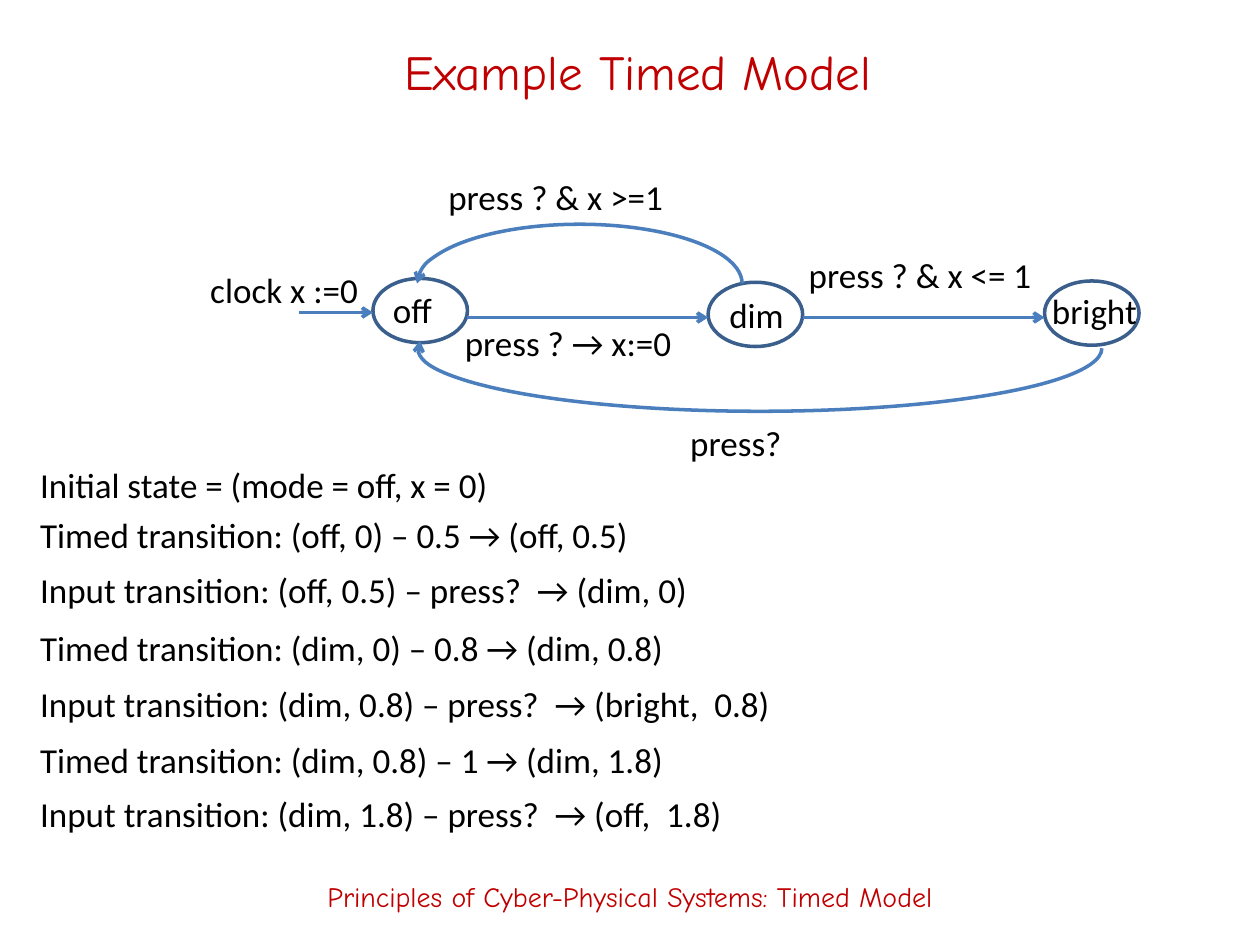
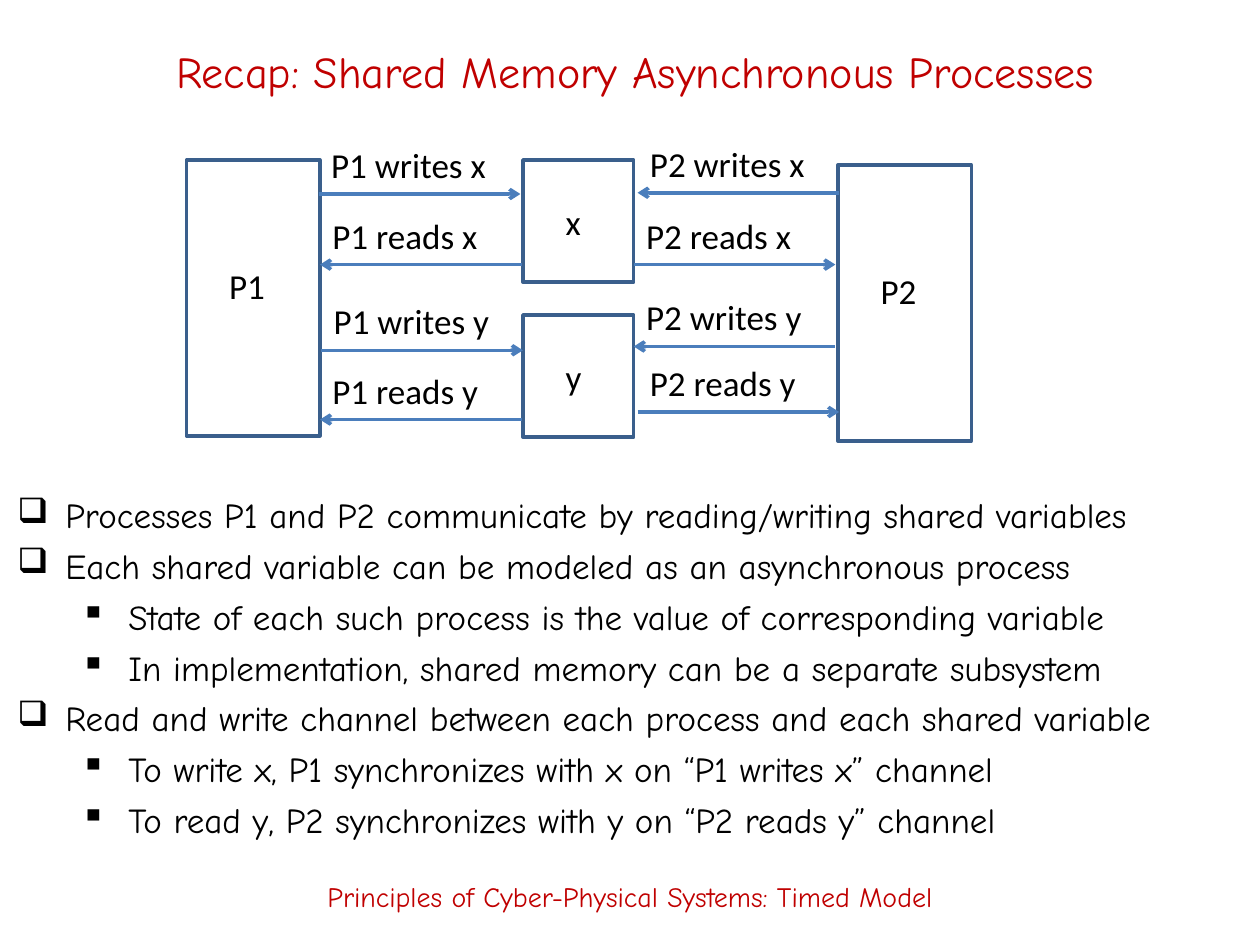
from dataclasses import dataclass

from lxml import etree
from pptx import Presentation
from pptx import util as u
from pptx.dml.color import RGBColor
from pptx.enum import shapes, text
from pptx.oxml import ns


@dataclass(frozen=True)
class Theme:
    """Colours, fonts and sizes shared by the slides."""
    accent: RGBColor = RGBColor(0xC0, 0x00, 0x00)
    ink: RGBColor = RGBColor(0x00, 0x00, 0x00)
    arrow: RGBColor = RGBColor(0x4B, 0x7E, 0xBC)
    outline: RGBColor = RGBColor(0x3A, 0x5F, 0x8C)
    display: str = "Comic Neue"
    label: str = "Calibri"
    title_size: float = 28
    long_title_size: float = 25.2
    body_size: float = 20
    footer_size: float = 16
    line_width: float = 2
    label_height: float = 0.44


THEME = Theme()
FOOTER = "Principles of Cyber-Physical Systems: Timed Model"


@dataclass
class Region:
    """A part of a slide whose contents are placed from its top left corner."""
    slide: object
    left: float
    top: float

    def place(self, x, y):
        """Turn a local point into slide lengths."""
        return u.Inches(self.left + x), u.Inches(self.top + y)

    def text_box(self, x, y, width, height):
        """Add an empty text box."""
        return self.slide.shapes.add_textbox(
            *self.place(x, y), u.Inches(width), u.Inches(height)).text_frame

    def label(self, words, x, y, width):
        """Add a one-line diagram label."""
        frame = self.text_box(x, y, width, THEME.label_height)
        frame.word_wrap = False
        frame.auto_size = text.MSO_AUTO_SIZE.SHAPE_TO_FIT_TEXT
        add_run(frame.paragraphs[0], words, THEME.label)

    def outline(self, kind, x, y, width, height, color=THEME.outline):
        """Add an unfilled preset shape."""
        drawn = self.slide.shapes.add_shape(
            kind, *self.place(x, y), u.Inches(width), u.Inches(height))
        drawn.shadow.inherit = False
        drawn.fill.background()
        drawn.line.color.rgb = color
        drawn.line.width = u.Pt(THEME.line_width)
        return drawn

    def arrow(self, x, y, length, end="tailEnd"):
        """Add a horizontal line with an arrowhead at one end."""
        line = self.slide.shapes.add_connector(
            shapes.MSO_CONNECTOR.STRAIGHT, *self.place(x, y), *self.place(x + length, y))
        line.line.color.rgb = THEME.arrow
        line.line.width = u.Pt(THEME.line_width)
        add_arrowhead(line, end)
        etree.SubElement(line.element.spPr, ns.qn("a:effectLst"))

    def arc(self, x, y, width, height, angles, end, rotation=0):
        """Add a curved arrow."""
        curve = self.outline(shapes.MSO_SHAPE.ARC, x, y, width, height, THEME.arrow)
        for index, angle in enumerate(angles):
            curve.adjustments[index] = angle
        curve.rotation = rotation
        add_arrowhead(curve, end)


def add_run(paragraph, words, font, size=THEME.body_size, color=THEME.ink):
    """Add one styled run."""
    run = paragraph.add_run()
    run.text = words
    run.font.name = font
    run.font.size = u.Pt(size)
    run.font.color.rgb = color


def add_arrowhead(drawn, end):
    """Put an open arrowhead on the given end of a line."""
    outline = drawn.element.spPr.find(ns.qn("a:ln"))
    etree.SubElement(outline, ns.qn("a:" + end), type="arrow")


def add_banner(region, words, size, width):
    """Add a centred red line of text, as in titles and footers."""
    frame = region.text_box(0, 0, width, 0.78)
    frame.word_wrap = True
    frame.vertical_anchor = text.MSO_ANCHOR.MIDDLE
    frame.paragraphs[0].alignment = text.PP_ALIGN.CENTER
    add_run(frame.paragraphs[0], words, THEME.display, size, THEME.accent)


def new_slide(deck, title, title_left, title_size):
    """Start a blank slide with the shared title and footer."""
    slide = deck.slides.add_slide(deck.slide_layouts[6])
    add_banner(Region(slide, title_left, 0.17), title, title_size, 8.58)
    add_banner(Region(slide, 0, 6.72), FOOTER, THEME.footer_size, 10)
    return slide


def draw_light_switch(region):
    """Draw the timed automaton with its three modes."""
    modes = [
        ("off", 1.39, 0.87, 0.06, 0.03, 0.52),
        ("dim", 4.05, 0.9, 0.07, 0.04, 0.64),
        ("bright", 6.72, 0.89, -0.04, 0.02, 0.88),
    ]
    for mode, x, y, inset, drop, width in modes:
        region.outline(shapes.MSO_SHAPE.OVAL, x, y, 0.75, 0.51)
        region.label(mode, x + inset, y + drop, width)
    for x, y, length in [(0.8, 1.14, 0.59), (2.14, 1.18, 1.91), (4.8, 1.18, 1.92)]:
        region.arrow(x, y, length)
    region.arc(3.96, -1.29, 1, 5.43, (162, 54.74), "tailEnd", rotation=90)
    region.arc(1.74, 0.44, 2.58, 0.94, (108, 0), "headEnd")
    guards = [
        ("clock x :=0", 0, 0.74, 1.39),
        ("press ? → x:=0", 2.02, 1.16, 1.88),
        ("press ? & x <= 1", 4.75, 0.62, 1.98),
        ("press ? & x >=1", 1.89, 0, 1.92),
        ("press?", 3.81, 1.96, 0.93),
    ]
    for guard in guards:
        region.label(*guard)


def list_execution(region):
    """List the steps of one execution."""
    steps = [
        ("Initial state = (mode = off, x = 0)", 0, 3.8),
        ("Timed transition: (off, 0) – 0.5 → (off, 0.5)", 0.4, 4.94),
        ("Input transition: (off, 0.5) – press?  → (dim, 0)", 0.83, 5.41),
        ("Timed transition: (dim, 0) – 0.8 → (dim, 0.8)", 1.29, 5.22),
        ("Input transition: (dim, 0.8) – press?  → (bright,  0.8)", 1.74, 6.07),
        ("Timed transition: (dim, 0.8) – 1 → (dim, 1.8)", 2.18, 5.22),
        ("Input transition: (dim, 1.8) – press?  → (off,  1.8)", 2.61, 5.69),
    ]
    for step, y, width in steps:
        region.label(step, 0, y, width)


def draw_shared_memory(region):
    """Draw two processes linked to two shared variables."""
    for process, x, y in [("P1", 0, 0.19), ("P2", 5.17, 0.23)]:
        region.outline(shapes.MSO_SHAPE.RECTANGLE, x, y, 1.06, 2.19)
        region.label(process, x + 0.24, y + 0.78, 0.49)
    for variable, y in [("x", 0.19), ("y", 1.42)]:
        region.outline(shapes.MSO_SHAPE.RECTANGLE, 2.67, y, 0.88, 0.97)
        region.label(variable, 2.91, y + 0.27, 0.39)
    channels = [
        ("P1", "writes", "x", 1.05, 0.46),
        ("P1", "reads", "x", 1.06, 1.02),
        ("P1", "writes", "y", 1.07, 1.7),
        ("P1", "reads", "y", 1.06, 2.25),
        ("P2", "writes", "x", 3.58, 0.45),
        ("P2", "reads", "x", 3.55, 1.02),
        ("P2", "writes", "y", 3.55, 1.67),
        ("P2", "reads", "y", 3.58, 2.19),
    ]
    for process, action, variable, x, y in channels:
        rightward = (process == "P1") == (action == "writes")
        region.arrow(x, y, 1.6, "tailEnd" if rightward else "headEnd")
        width = 1.45 if action == "writes" else 1.37
        region.label(f"{process} {action} {variable}", x, y - 0.45, width)


def list_points(region):
    """Write the two-level bullet list."""
    points = [
        (0, "Processes P1 and P2 communicate by reading/writing shared variables"),
        (0, "Each shared variable can be modeled as an asynchronous process"),
        (1, "State of each such process is the value of corresponding variable"),
        (1, "In implementation, shared memory can be a separate subsystem"),
        (0, "Read and write channel between each process and each shared variable"),
        (1, "To write x, P1 synchronizes with x on “P1 writes x” channel"),
        (1, "To read y, P2 synchronizes with y on “P2 reads y” channel"),
    ]
    frame = region.text_box(0, 0, 9.83, 2.84)
    frame.word_wrap = True
    for index, (level, point) in enumerate(points):
        paragraph = frame.add_paragraph() if index else frame.paragraphs[0]
        paragraph.level = level
        if index:
            paragraph.space_before = u.Pt(5)
        properties = paragraph._p.get_or_add_pPr()
        properties.set("marL", str(u.Inches(0.38 + 0.5 * level)))
        properties.set("indent", str(-u.Inches(0.38)))
        etree.SubElement(properties, ns.qn("a:buChar"), char="❑▪"[level])
        add_run(paragraph, point, THEME.display)


def main():
    """Build and save the two slides."""
    deck = Presentation()
    deck.slide_width, deck.slide_height = u.Inches(10), u.Inches(7.5)

    timed = new_slide(deck, "Example Timed Model", 0.77, THEME.title_size)
    draw_light_switch(Region(timed, 1.57, 1.34))
    list_execution(Region(timed, 0.22, 3.63))

    recap = new_slide(deck, "Recap: Shared Memory Asynchronous Processes",
                      0.75, THEME.long_title_size)
    draw_shared_memory(Region(recap, 1.48, 1.08))
    list_points(Region(recap, 0.04, 3.87))

    deck.save("out.pptx")


if __name__ == "__main__":
    main()
